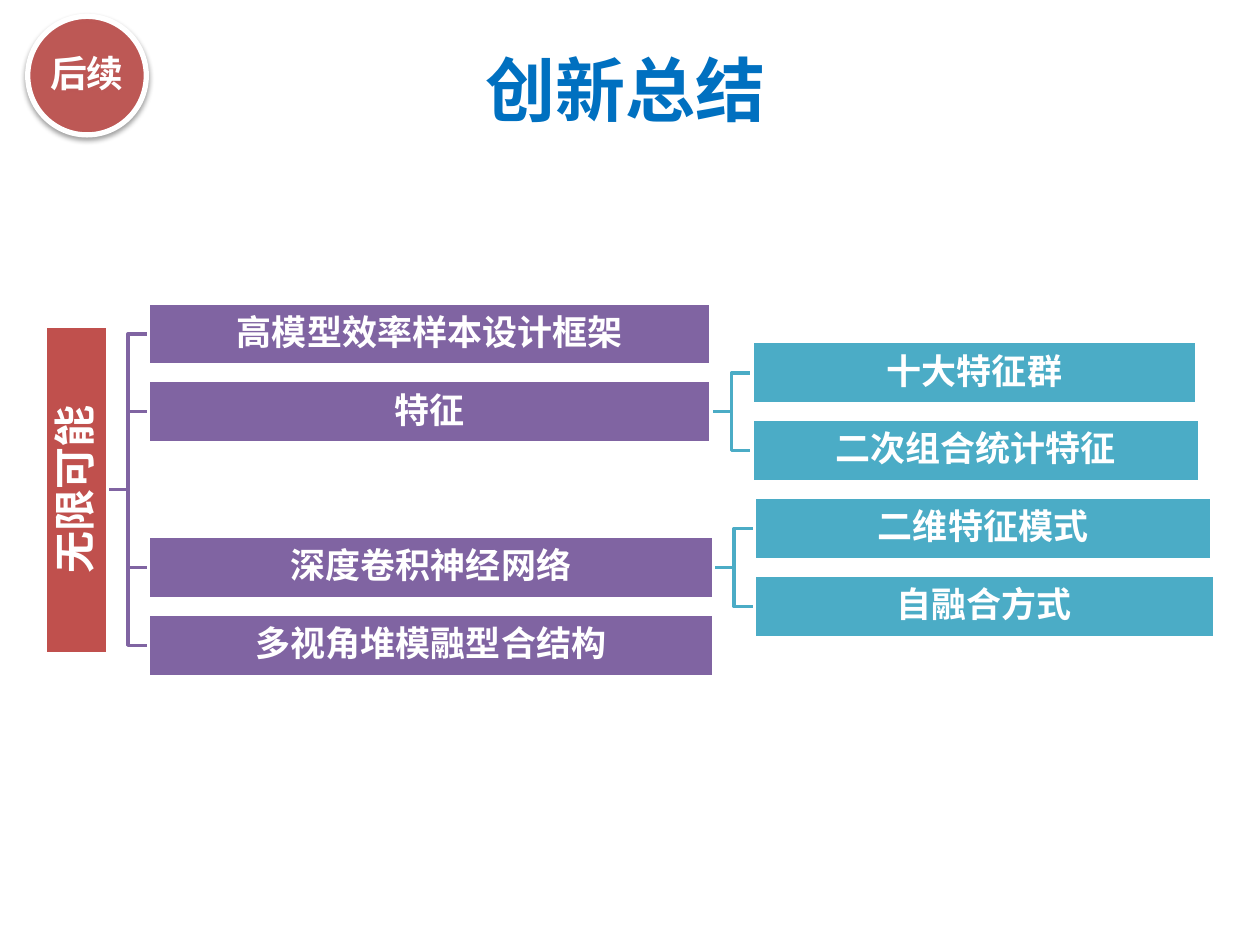
from dataclasses import dataclass

from lxml import etree
from pptx import Presentation
from pptx.dml.color import RGBColor
from pptx.enum.shapes import MSO_SHAPE
from pptx.enum.text import MSO_ANCHOR, MSO_AUTO_SIZE, PP_ALIGN
from pptx.oxml.ns import qn
from pptx.util import Cm, Pt

RECTANGLE, OVAL = MSO_SHAPE.RECTANGLE, MSO_SHAPE.OVAL
MIDDLE, CENTER = MSO_ANCHOR.MIDDLE, PP_ALIGN.CENTER
FIT_SHAPE = MSO_AUTO_SIZE.SHAPE_TO_FIT_TEXT

TITLE = "创新总结"
BADGE = "后续"
ROOT = "无限可能"
# Row, text, width (cm), children as (text, width)
BRANCHES = [
    (0, "高模型效率样本设计框架", 11.35, []),
    (1, "特征", 11.35, [("十大特征群", 8.97), ("二次组合统计特征", 9.02)]),
    (3, "深度卷积神经网络", 11.4, [("二维特征模式", 9.22), ("自融合方式", 9.27)]),
    (4, "多视角堆模融型合结构", 11.4, []),
]


@dataclass(frozen=True)
class Theme:
    title_font: str = "Calibri"
    body_font: str = "Noto Sans CJK SC"
    title: str = "0070C0"
    root: str = "C0504D"
    branch: str = "8064A2"
    leaf: str = "4BACC6"
    white: str = "FFFFFF"
    title_size: int = 40
    root_size: int = 24
    badge_size: int = 21
    node_size: int = 20


THEME = Theme()

# Layout in centimetres
ROW_TOP, ROW_STEP = 6.73, 1.57
NODE_HEIGHT, LINK_WIDTH = 1.25, 0.82
ROOT_LEFT, ROOT_LENGTH, ROOT_ROW = 0.92, 6.6, 2


def row_center(row):
    return ROW_TOP + row * ROW_STEP


def format_text(shape, text, size, color, font_name, inset=0.03):
    frame = shape.text_frame
    frame.text = text
    frame.word_wrap = False
    frame.vertical_anchor = MIDDLE
    frame.margin_left = frame.margin_right = Cm(inset)
    frame.margin_top = frame.margin_bottom = Cm(inset)
    paragraph = frame.paragraphs[0]
    paragraph.alignment = CENTER
    font = paragraph.runs[0].font
    font.name, font.size, font.bold = font_name, Pt(size), True
    font.color.rgb = RGBColor.from_string(color)
    return paragraph


def add_block(slide, kind, box, text, fill, size, line_width=2):
    """Add a filled, white-outlined shape; box is left, top, width, height."""
    shape = slide.shapes.add_shape(kind, *map(Cm, box))
    shape.shadow.inherit = False
    shape.fill.solid()
    shape.fill.fore_color.rgb = RGBColor.from_string(fill)
    shape.line.color.rgb = RGBColor.from_string(THEME.white)
    shape.line.width = Pt(line_width)
    paragraph = format_text(shape, text, size, THEME.white, THEME.body_font)
    paragraph.line_spacing = 0.9
    properties = paragraph.runs[0]._r.get_or_add_rPr()
    etree.SubElement(properties, qn("a:ea"), typeface=THEME.body_font)
    return shape


def add_node(slide, left, row, width, text, fill):
    box = (left, row_center(row) - NODE_HEIGHT / 2, width, NODE_HEIGHT)
    add_block(slide, RECTANGLE, box, text, fill, THEME.node_size)


def add_link(slide, left, start_row, end_row, color):
    """Draw an elbow from the right side of one node to the left of the next."""
    start, end = Cm(row_center(start_row)), Cm(row_center(end_row))
    middle, right = Cm(left + LINK_WIDTH / 2), Cm(left + LINK_WIDTH)
    builder = slide.shapes.build_freeform(Cm(left), start)
    builder.add_line_segments([(middle, start), (middle, end), (right, end)], close=False)
    link = builder.convert_to_shape()
    link.shadow.inherit = False
    link.fill.background()
    link.line.color.rgb = RGBColor.from_string(color)
    link.line.width = Pt(2)


def add_tree(slide):
    root_right = ROOT_LEFT + NODE_HEIGHT
    branch_left = root_right + LINK_WIDTH
    for row, text, width, children in BRANCHES:
        add_link(slide, root_right, ROOT_ROW, row, THEME.branch)
        branch_right = branch_left + width
        for index, (child_text, child_width) in enumerate(children):
            child_row = row + index - (len(children) - 1) / 2
            add_link(slide, branch_right, row, child_row, THEME.leaf)
            add_node(slide, branch_right + LINK_WIDTH, child_row, child_width,
                     child_text, THEME.leaf)
        add_node(slide, branch_left, row, width, text, THEME.branch)

    root_box = (ROOT_LEFT + (NODE_HEIGHT - ROOT_LENGTH) / 2,
                row_center(ROOT_ROW) - NODE_HEIGHT / 2, ROOT_LENGTH, NODE_HEIGHT)
    root = add_block(slide, RECTANGLE, root_box, ROOT, THEME.root, THEME.root_size)
    root.rotation = 270


def add_badge(slide):
    badge = add_block(slide, OVAL, (0.56, 0.33, 2.39, 2.39), BADGE,
                      THEME.root, THEME.badge_size, line_width=3)
    properties = badge._element.spPr
    fill_color = properties.find(qn("a:solidFill"))[0]
    etree.SubElement(fill_color, qn("a:alpha"), val="90000")
    shadow = etree.SubElement(
        properties.find(qn("a:effectLst")), qn("a:outerShdw"),
        blurRad=str(Pt(3.1)), dist=str(Pt(1.6)), dir="5400000", rotWithShape="0")
    shadow_color = etree.SubElement(shadow, qn("a:srgbClr"), val="000000")
    etree.SubElement(shadow_color, qn("a:alpha"), val="38000")


def add_title(slide):
    title = slide.shapes.add_textbox(Cm(9.5), Cm(0.74), Cm(6.22), Cm(1.96))
    format_text(title, TITLE, THEME.title_size, THEME.title, THEME.title_font, inset=0.2)
    title.text_frame.vertical_anchor = MSO_ANCHOR.TOP
    title.text_frame.auto_size = FIT_SHAPE


def main():
    presentation = Presentation()
    presentation.slide_width, presentation.slide_height = Cm(25.4), Cm(19.05)
    slide = presentation.slides.add_slide(presentation.slide_layouts[6])
    add_badge(slide)
    add_title(slide)
    add_tree(slide)
    presentation.save("out.pptx")


if __name__ == "__main__":
    main()
